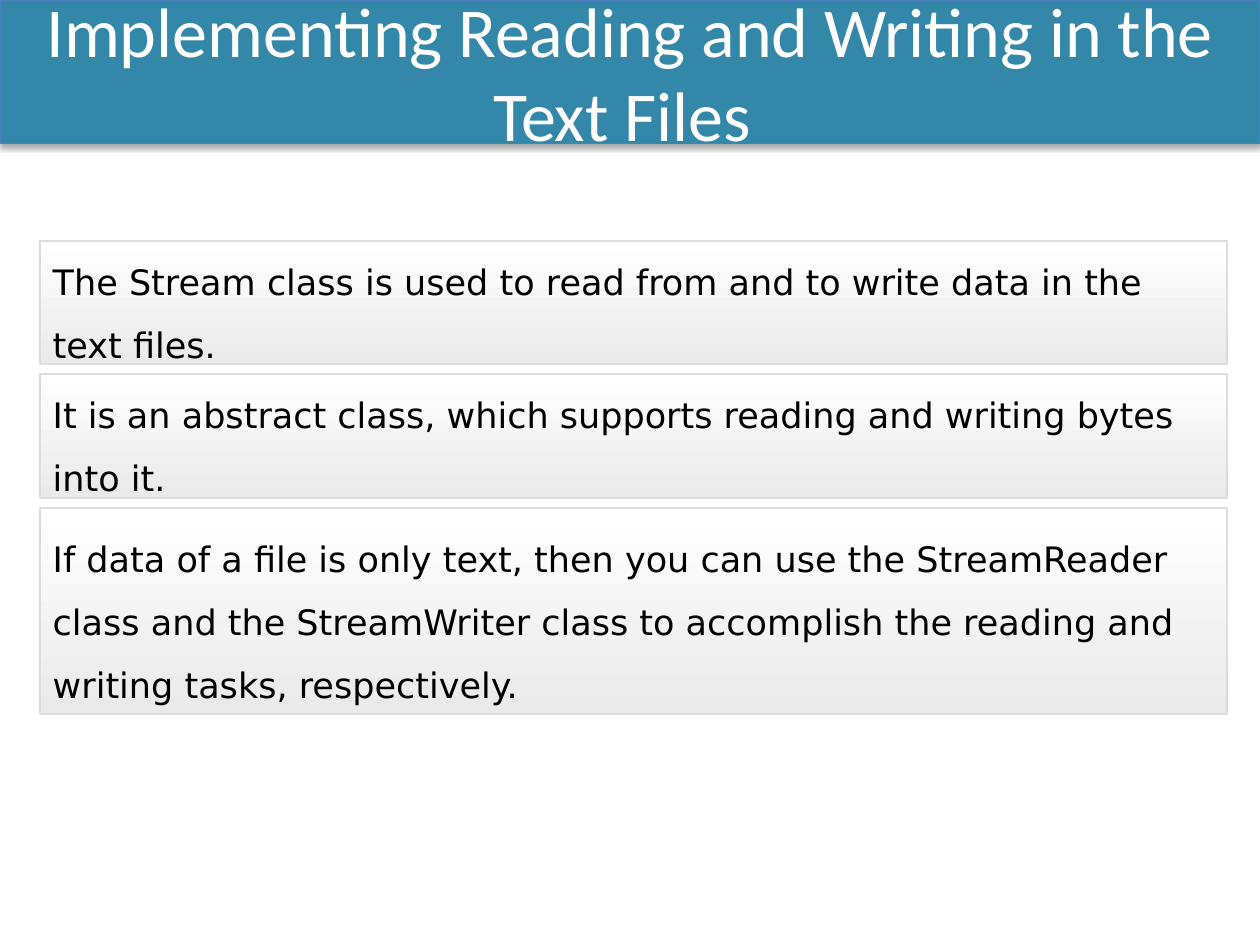
from lxml import etree
from pptx import Presentation
from pptx.dml.color import RGBColor
from pptx.enum.shapes import MSO_SHAPE as SHAPE
from pptx.enum.text import MSO_ANCHOR as ANCHOR, PP_ALIGN as ALIGN
from pptx.oxml.ns import qn
from pptx.util import Inches, Pt

TEAL = RGBColor(0x33, 0x88, 0xA9)
BLUE = RGBColor(0x4B, 0x7E, 0xBC)
WHITE = RGBColor(0xFF, 0xFF, 0xFF)
PALE = RGBColor(0xEA, 0xEA, 0xEA)
GREY = RGBColor(0xDD, 0xDD, 0xDD)
BLACK = RGBColor(0, 0, 0)

TITLE = "Implementing Reading and Writing in the Text Files "
POINTS = [
    ("The Stream class is used to read from and to write data in the text files.", 0.98),
    ("It is an abstract class, which supports reading and writing bytes into it.", 0.98),
    ("If data of a file is only text, then you can use the StreamReader class and the "
     "StreamWriter class to accomplish the reading and writing tasks, respectively.", 1.64),
]
LEFT, TOP, WIDTH, GAP = 0.32, 1.91, 9.42, 0.08


def add_shadow(sp):
    """Give the shape a soft black shadow straight below it."""
    effects = sp._element.spPr.find(qn("a:effectLst"))
    shadow = etree.SubElement(effects, qn("a:outerShdw"), blurRad=str(Pt(3.1)),
                              dist=str(Pt(1.8)), dir="5400000", rotWithShape="0")
    color = etree.SubElement(shadow, qn("a:srgbClr"), val=str(BLACK))
    etree.SubElement(color, qn("a:alpha"), val="35000")


class Deck:
    title_font = {"name": "Calibri", "size": Pt(40)}
    point_font = {"name": "DejaVu Sans", "size": Pt(20)}

    def __init__(self):
        self.prs = Presentation()
        self.prs.slide_width, self.prs.slide_height = Inches(10), Inches(7.5)
        self.s = self.prs.slides.add_slide(self.prs.slide_layouts[6])

    def box(self, text, x, y, w, h, font, color, line, line_width, paragraph):
        sp = self.s.shapes.add_shape(SHAPE.RECTANGLE, Inches(x), Inches(y), Inches(w), Inches(h))
        sp.shadow.inherit = False
        sp.line.color.rgb = line
        sp.line.width = Pt(line_width)
        tf = sp.text_frame
        tf.word_wrap = True
        tf.vertical_anchor = ANCHOR.MIDDLE
        p = tf.paragraphs[0]
        for name, value in paragraph.items():
            setattr(p, name, value)
        r = p.add_run()
        r.text = text
        for name, value in font.items():
            setattr(r.font, name, value)
        r.font.color.rgb = color
        return sp

    def title(self, text):
        sp = self.box(text, 0, 0, 10, 1.14, self.title_font, WHITE, BLUE, 0.75,
                      {"alignment": ALIGN.CENTER})
        sp.fill.solid()
        sp.fill.fore_color.rgb = TEAL
        add_shadow(sp)

    def point(self, text, y, h):
        sp = self.box(text, LEFT, y, WIDTH, h, self.point_font, BLACK, GREY, 1,
                      {"alignment": ALIGN.LEFT, "line_spacing": 1.5})
        sp.fill.gradient()
        sp.fill.gradient_angle = 270
        for stop, color in zip(sp.fill.gradient_stops, (WHITE, PALE)):
            stop.color.rgb = color


def main():
    deck = Deck()
    deck.title(TITLE)
    y = TOP
    for text, height in POINTS:
        deck.point(text, y, height)
        y += height + GAP
    deck.prs.save("out.pptx")


if __name__ == "__main__":
    main()
